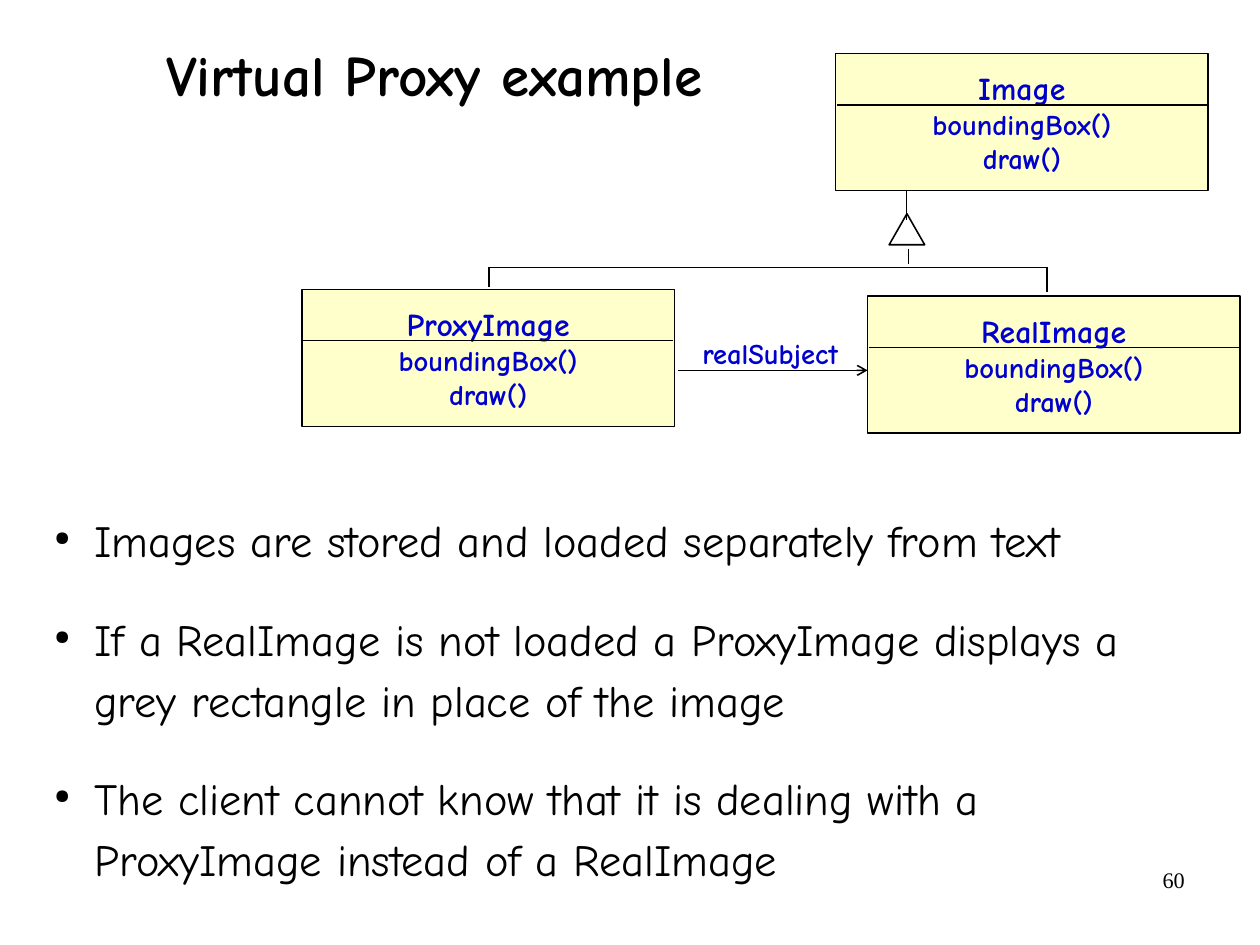
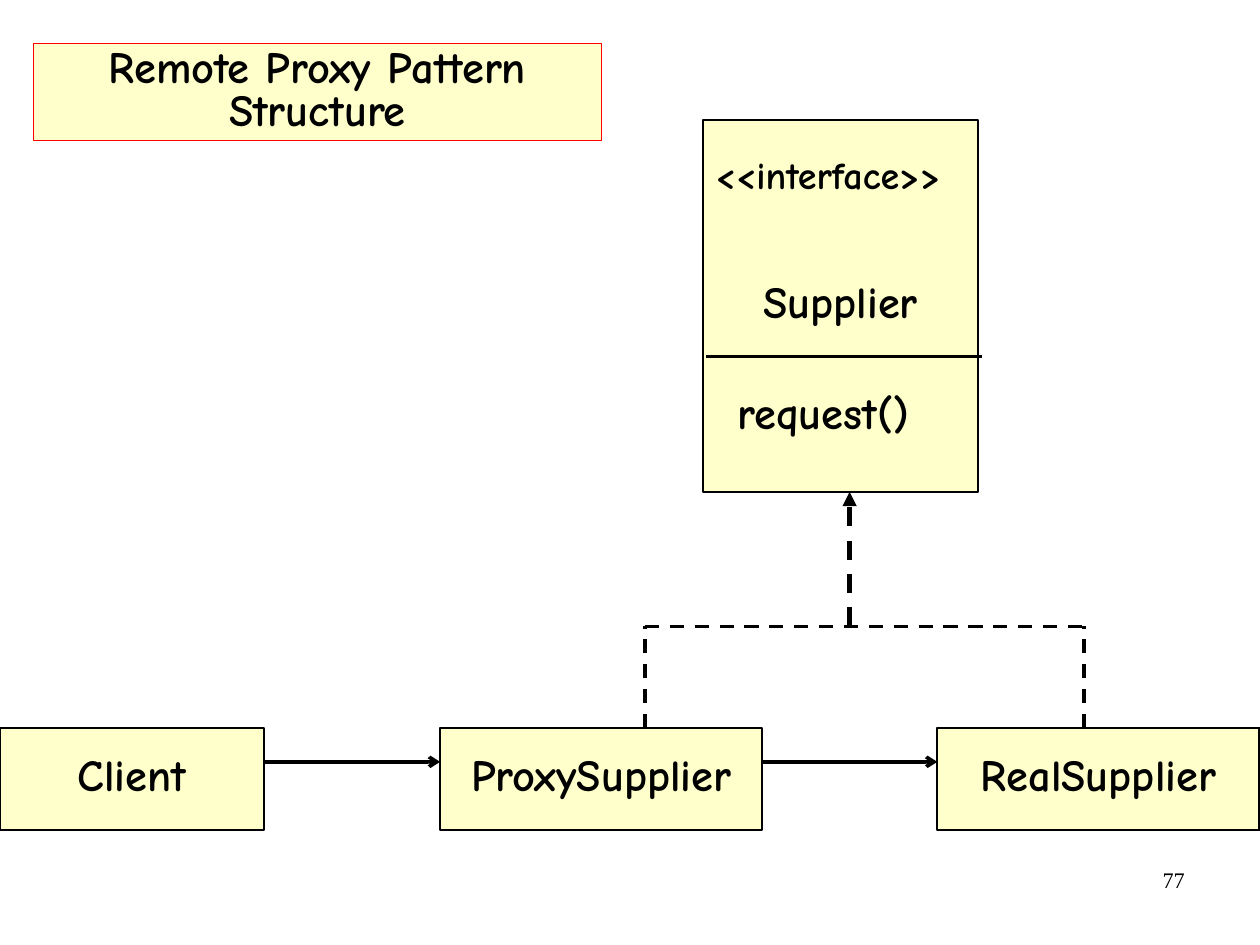
from dataclasses import dataclass

from lxml import etree
from pptx import Presentation
from pptx import util as u
from pptx.dml.color import RGBColor
from pptx.enum import dml, shapes, text
from pptx.oxml import ns


@dataclass(frozen=True)
class Theme:
    ink: str = "000000"
    paper: str = "FFFFFF"
    box: str = "FFFFCC"
    accent: str = "0000CC"
    title_border: str = "FF0000"
    font: str = "Comic Neue"
    number_font: str = "Times New Roman"
    title_size: int = 36
    large: int = 28
    medium: int = 24
    class_name: int = 20
    small: int = 18
    number_size: int = 14
    thin: float = 1
    medium_line: float = 1.42
    thick: float = 2.25


THEME = Theme()
ALIGN = text.PP_ALIGN
ANCHOR = text.MSO_ANCHOR


def add_xml(parent, tag, **attributes):
    return etree.SubElement(parent, ns.qn(tag), attributes)


def write(frame, content, size=THEME.large, color=THEME.ink, font=THEME.font,
          bold=True, align=ALIGN.LEFT, spacing=1.0, before=0, after=0, bullet=False):
    first = frame.paragraphs[0]
    paragraph = frame.add_paragraph() if first.runs else first
    paragraph.alignment = align
    paragraph.line_spacing = spacing
    paragraph.space_before = u.Pt(before)
    paragraph.space_after = u.Pt(after)
    run = paragraph.add_run()
    run.text = content
    run.font.name = font
    run.font.size = u.Pt(size)
    run.font.bold = bold
    run.font.color.rgb = RGBColor.from_string(color)
    if bullet:
        properties = paragraph._p.get_or_add_pPr()
        properties.set("marL", str(u.Cm(1.17)))
        properties.set("indent", str(u.Cm(-0.89)))
        bullet_color = add_xml(properties, "a:buClr")
        add_xml(bullet_color, "a:srgbClr", val=THEME.ink)
        add_xml(properties, "a:buSzPct", val="45000")
        add_xml(properties, "a:buChar", char="●")


class Deck:
    def __init__(self, theme, width, height):
        self.theme = theme
        self.presentation = Presentation()
        self.presentation.slide_width = u.Cm(width)
        self.presentation.slide_height = u.Cm(height)
        self.slide = None

    def start_slide(self, number):
        self.slide = self.presentation.slides.add_slide(self.presentation.slide_layouts[6])
        self.slide.background.fill.solid()
        self.slide.background.fill.fore_color.rgb = RGBColor.from_string(self.theme.paper)
        frame = self.text_box(20.07, 19.13, 6.53, 1.45)
        write(frame, str(number), size=self.theme.number_size, bold=False,
              font=self.theme.number_font, align=ALIGN.RIGHT)

    def prepare_frame(self, shape, anchor):
        frame = shape.text_frame
        frame.word_wrap = True
        frame.vertical_anchor = anchor
        frame.margin_left = frame.margin_right = u.Cm(0.27)
        frame.margin_top = frame.margin_bottom = u.Cm(0.13)
        return frame

    def text_box(self, left, top, width, height, anchor=ANCHOR.TOP):
        place = map(u.Cm, (left, top, width, height))
        return self.prepare_frame(self.slide.shapes.add_textbox(*place), anchor)

    def shape(self, left, top, width, height, kind=shapes.MSO_SHAPE.RECTANGLE,
              fill=THEME.box, border=THEME.ink, weight=THEME.thin):
        place = map(u.Cm, (left, top, width, height))
        shape = self.slide.shapes.add_shape(kind, *place)
        shape.shadow.inherit = False
        shape.fill.solid()
        shape.fill.fore_color.rgb = RGBColor.from_string(fill)
        shape.line.color.rgb = RGBColor.from_string(border)
        shape.line.width = u.Pt(weight)
        return self.prepare_frame(shape, ANCHOR.MIDDLE)

    def line(self, x1, y1, x2, y2, weight=THEME.thin, dashed=False, arrow=None):
        ends = map(u.Cm, (x1, y1, x2, y2))
        connector = self.slide.shapes.add_connector(shapes.MSO_CONNECTOR.STRAIGHT, *ends)
        connector.line.color.rgb = RGBColor.from_string(self.theme.ink)
        connector.line.width = u.Pt(weight)
        if dashed:
            connector.line.dash_style = dml.MSO_LINE.DASH
        properties = connector.element.spPr
        if arrow:
            add_xml(properties.find(ns.qn("a:ln")), "a:tailEnd", type=arrow)
        add_xml(properties, "a:effectLst")

    def class_box(self, name, left, top, width=8.28, height=3.05):
        frame = self.shape(left, top, width, height)
        write(frame, name, size=self.theme.class_name, color=self.theme.accent,
              align=ALIGN.CENTER)
        for operation in ("boundingBox()", "draw()"):
            write(frame, operation, size=self.theme.small, color=self.theme.accent,
                  align=ALIGN.CENTER)
        self.line(left + 0.03, top + 1.14, left + width - 0.03, top + 1.14)

    def label_box(self, label, left, top, width, height, **style):
        style = {"weight": self.theme.medium_line, **style}
        frame = self.shape(left, top, width, height, **style)
        write(frame, label, align=ALIGN.CENTER, spacing=0.8)


def build_virtual_proxy(deck):
    theme = deck.theme
    deck.start_slide(60)
    title = deck.text_box(0, 0, 19.3, 3.48, anchor=ANCHOR.MIDDLE)
    write(title, "Virtual Proxy example", size=theme.title_size,
          align=ALIGN.CENTER, spacing=0.88)

    body = deck.text_box(0.66, 11.1, 26.44, 7.44)
    for point in (
        "Images are stored and loaded separately from text",
        "If a RealImage is not loaded a ProxyImage displays a grey rectangle "
        "in place of the image",
        "The client cannot know that it is dealing with a ProxyImage instead of a RealImage",
    ):
        write(body, point, bold=False, spacing=1.14, before=6, after=18, bullet=True)

    deck.class_box("Image", 18.57, 1.19)
    deck.class_box("RealImage", 19.28, 6.58)
    deck.class_box("ProxyImage", 6.71, 6.43)

    deck.line(15.06, 8.23, 19.28, 8.23, arrow="arrow")
    association = deck.text_box(15.34, 7.34, 4.17, 1.04)
    write(association, "realSubject", size=theme.small, color=theme.accent)

    branch = 5.94
    deck.line(10.9, branch, 23.24, branch)
    deck.line(23.27, branch, 23.27, 6.48)
    deck.line(10.87, branch, 10.87, 6.38)
    deck.shape(19.76, 4.75, 0.79, 0.69, kind=shapes.MSO_SHAPE.ISOSCELES_TRIANGLE,
               fill=theme.paper)
    deck.line(20.14, 4.24, 20.14, 4.88)
    deck.line(20.19, 5.54, 20.19, 5.87)


def build_remote_proxy(deck):
    theme = deck.theme
    deck.start_slide(77)
    deck.label_box("Remote Proxy Pattern Structure", 0.74, 0.97, 12.62, 2.16,
                   border=theme.title_border, weight=0.75)

    deck.label_box("Supplier", 15.62, 2.67, 6.12, 8.26)
    deck.line(15.7, 7.92, 21.82, 7.92, weight=theme.medium_line)
    stereotype = deck.text_box(15.62, 3.43, 6.5, 1.52)
    write(stereotype, "<<interface>>", size=theme.medium, spacing=0.8)
    operation = deck.text_box(16.13, 8.66, 5.13, 1.52)
    write(operation, "request()", spacing=0.8)

    row_top = 16.18
    participants = (("Client", 0, 5.87), ("ProxySupplier", 9.78, 7.16),
                    ("RealSupplier", 20.83, 7.16))
    for name, left, width in participants:
        deck.label_box(name, left, row_top, width, 2.26)
    for (_, left, width), (_, target, _) in zip(participants, participants[1:]):
        deck.line(left + width, 16.93, target, 16.93, weight=theme.thick, arrow="arrow")

    branch, branch_ends = 13.92, (14.33, 24.09)
    deck.line(branch_ends[0], branch, branch_ends[1], branch,
              weight=theme.thick, dashed=True)
    for x in branch_ends:
        deck.line(x, row_top, x, branch, weight=theme.thick, dashed=True)
    deck.line(18.88, branch, 18.88, 10.93, weight=3, dashed=True, arrow="triangle")


def main():
    deck = Deck(THEME, 28, 21)
    build_virtual_proxy(deck)
    build_remote_proxy(deck)
    deck.presentation.save("out.pptx")


if __name__ == "__main__":
    main()
